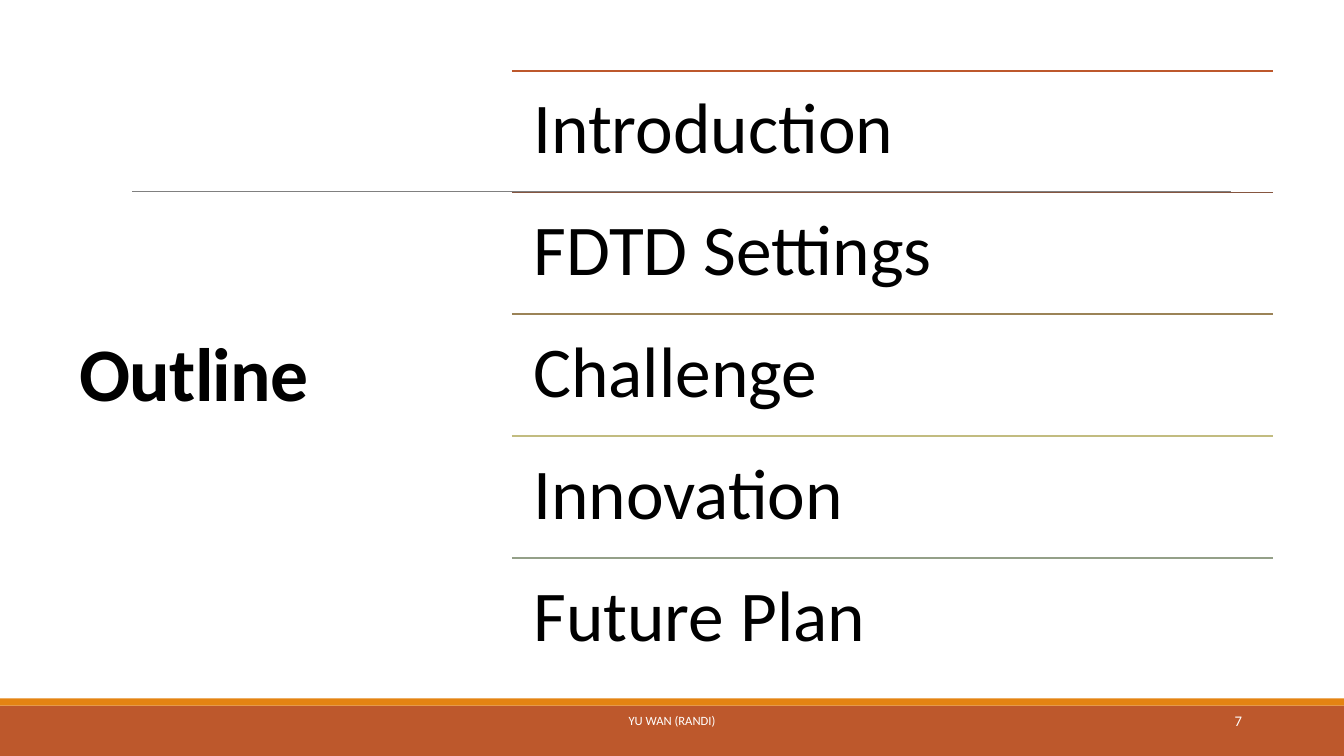
from lxml.etree import SubElement
from pptx import Presentation
from pptx.dml.color import RGBColor
from pptx.enum.shapes import MSO_CONNECTOR, MSO_SHAPE
from pptx.enum.text import MSO_ANCHOR, PP_ALIGN
from pptx.oxml.ns import qn
from pptx.util import Cm, Pt

SLIDE_WIDTH = 33.87
SLIDE_HEIGHT = 19.05
TOPICS = [
    ("Introduction", "BD582C"),
    ("FDTD Settings", "865640"),
    ("Challenge", "9B8357"),
    ("Innovation", "C2BC80"),
    ("Future Plan", "94A088"),
]
TOPIC_LEFT = 12.9
TOPIC_TOP = 1.78
TOPIC_WIDTH = 19.18
TOPIC_HEIGHT = 3.07


def color(value):
    return RGBColor.from_string(value)


def add_band(slide, top, height, fill):
    band = slide.shapes.add_shape(
        MSO_SHAPE.RECTANGLE, 0, Cm(top), Cm(SLIDE_WIDTH), Cm(height))
    band.shadow.inherit = False
    band.fill.solid()
    band.fill.fore_color.rgb = color(fill)
    band.line.fill.background()


def add_rule(slide, left, top, width, stroke, weight):
    rule = slide.shapes.add_connector(
        MSO_CONNECTOR.STRAIGHT, Cm(left), Cm(top), Cm(left + width), Cm(top))
    rule.line.color.rgb = color(stroke)
    rule.line.width = Pt(weight)
    SubElement(rule._element.spPr, qn("a:effectLst"))


def add_label(slide, text, left, top, width, height, size, fill="000000",
              align=PP_ALIGN.LEFT, anchor=MSO_ANCHOR.MIDDLE,
              spacing=1.0, insets=(0.25, 0.13)):
    label = slide.shapes.add_textbox(Cm(left), Cm(top), Cm(width), Cm(height))
    frame = label.text_frame
    frame.word_wrap = True
    frame.vertical_anchor = anchor
    frame.margin_left = frame.margin_right = Cm(insets[0])
    frame.margin_top = frame.margin_bottom = Cm(insets[1])
    frame.text = text
    paragraph = frame.paragraphs[0]
    paragraph.alignment = align
    paragraph.line_spacing = spacing
    font = paragraph.runs[0].font
    font.name = "Calibri"
    font.size = Pt(size)
    font.color.rgb = color(fill)
    return paragraph


def add_title(slide):
    title = add_label(slide, "Outline", 1.75, 1.78, 9.5, 15.52, 54, spacing=0.85)
    title.runs[0].font.bold = True
    title.runs[0].font._element.set("spc", "-50")


def add_footer(slide, text, left, width, size, align):
    footer = add_label(slide, text, left, 17.65, width, 1.02, size, "FFFFFF", align)
    footer.space_after = Pt(6)


def add_topic(slide, index, topic, stroke):
    top = TOPIC_TOP + index * TOPIC_HEIGHT
    add_rule(slide, TOPIC_LEFT, top, TOPIC_WIDTH, stroke, 1.25)
    add_label(slide, topic, TOPIC_LEFT, top, TOPIC_WIDTH, TOPIC_HEIGHT, 51,
              anchor=MSO_ANCHOR.TOP, spacing=0.9, insets=(0.54, 0.54))


def main():
    presentation = Presentation()
    presentation.slide_width = Cm(SLIDE_WIDTH)
    presentation.slide_height = Cm(SLIDE_HEIGHT)
    slide = presentation.slides.add_slide(presentation.slide_layouts[6])

    add_band(slide, 17.78, 1.27, "BD582C")
    add_band(slide, 17.6, 0.18, "E48312")
    add_rule(slide, 3.33, 4.82, 27.68, "808080", 0.5)
    add_title(slide)
    add_footer(slide, "YU WAN (RANDI)", 11.22, 11.43, 9, PP_ALIGN.CENTER)
    add_footer(slide, "7", 23.93, 7.62, 10.5, PP_ALIGN.RIGHT)
    for index, (topic, stroke) in enumerate(TOPICS):
        add_topic(slide, index, topic, stroke)

    presentation.save("out.pptx")


if __name__ == "__main__":
    main()
